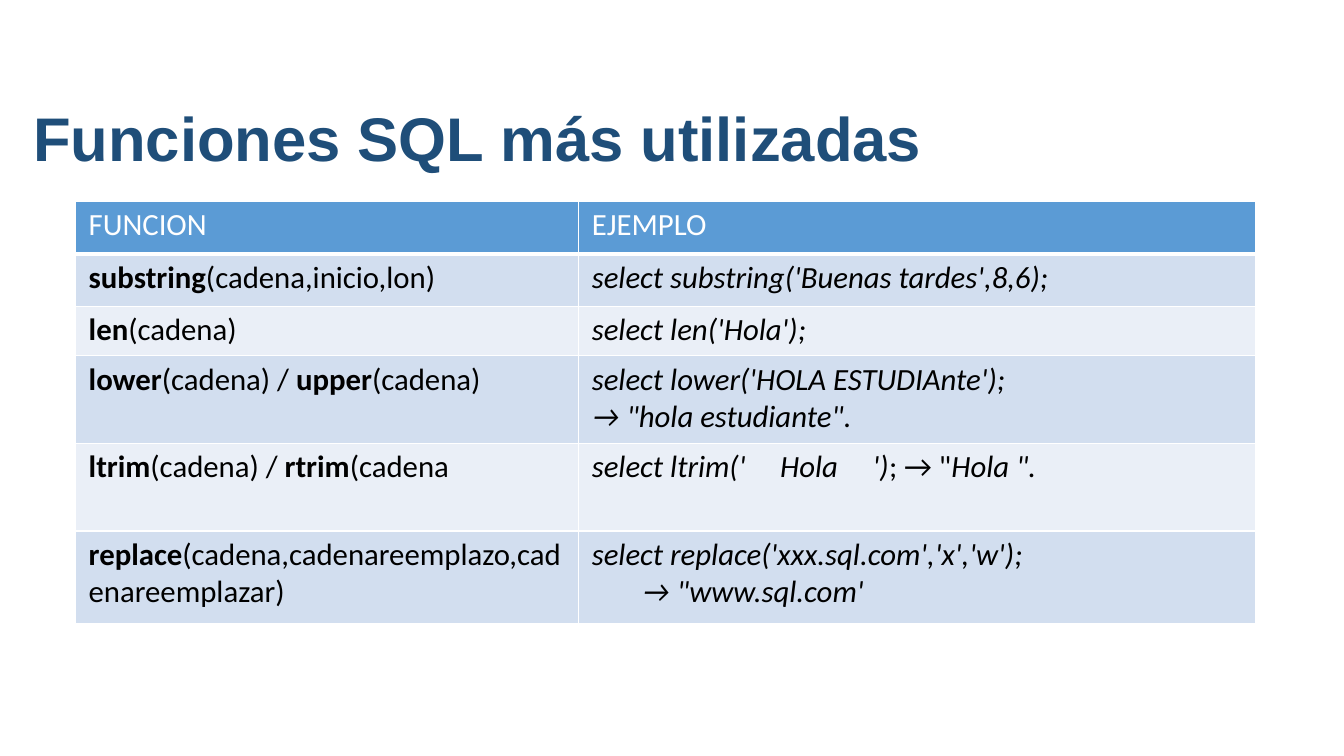
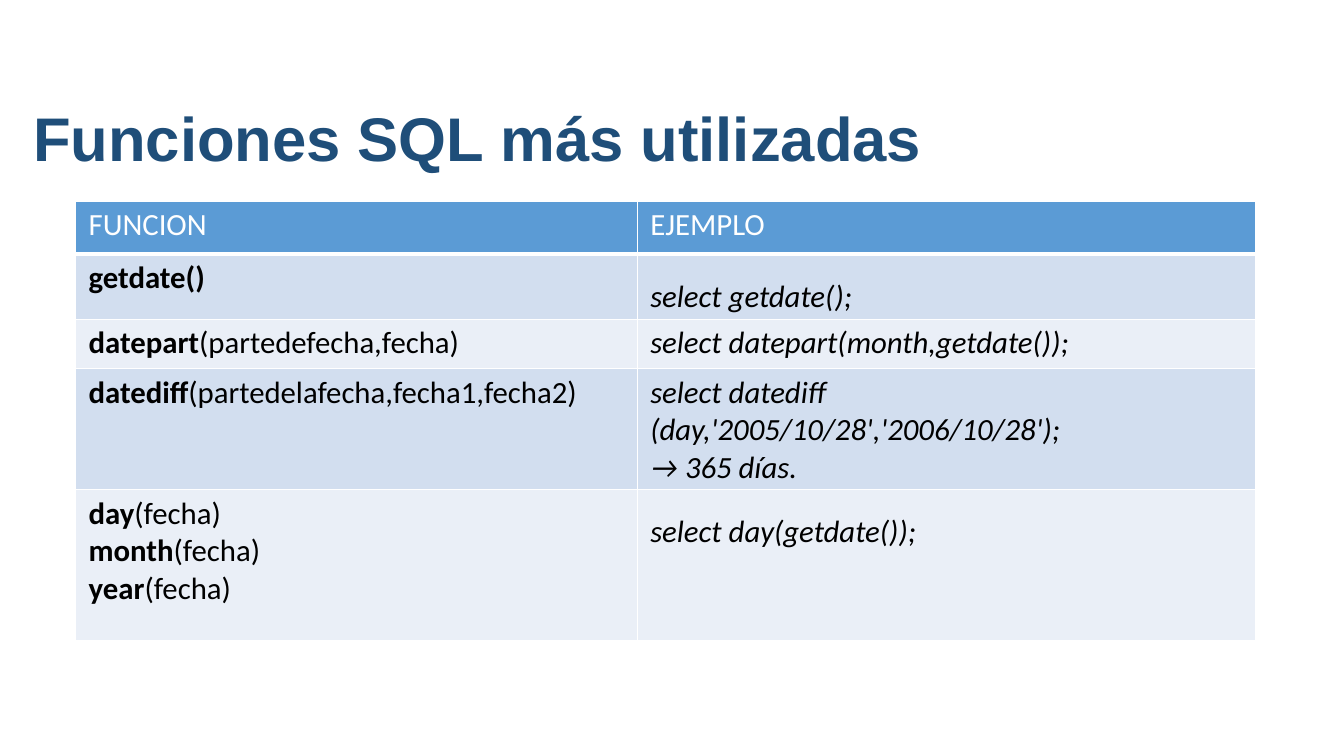
import pptx
import pptx.dml.color
import pptx.enum.text
import pptx.oxml
import pptx.oxml.ns
import pptx.util
from pptx.util import Inches

THEME = {
    "title": "1F4E79", "header": "5B9BD5", "bands": ("D2DEEF", "EAEFF7"),
    "light": "FFFFFF", "dark": "000000",
    "title_font": "Arial", "body_font": "Calibri",
    "title_size": 44, "body_size": 22, "rule": 1, "header_rule": 3,
}
TITLE = "Funciones SQL más utilizadas"
HEADER = ("FUNCION", "EJEMPLO", 1)

SLIDES = [
    {
        "cols": (4.99, 6.71),
        "heights": (0.52, 0.52, 0.49, 0.87, 0.87, 0.92),
        "rows": [
            ("*substring*(cadena,inicio,lon)", "*select substring('Buenas tardes',8,6);*", 1),
            ("*len*(cadena)", "*select len('Hola');*", 1),
            ("*lower*(cadena) / *upper*(cadena)",
             "*select lower('HOLA ESTUDIAnte');*\n*→ \"hola estudiante\".*", 1),
            ("*ltrim*(cadena) / *rtrim*(cadena",
             "*select ltrim('     Hola     ')*; → \"*Hola \".*", 1),
            ("*replace*(cadena,cadenareemplazo,cadenareemplazar)",
             "*select replace('xxx.sql.com','x','w');*\n*\t→ \"www.sql.com'*", 1),
        ],
    },
    {
        "cols": (5.57, 6.13),
        "heights": (0.52, 0.52, 0.49, 0.87, 1.5),
        "rows": [
            ("*getdate()*", "*select getdate();*", 1.5),
            ("*datepart*(partedefecha,fecha)", "*select datepart(month,getdate());*", 1),
            ("*datediff*(partedelafecha,fecha1,fecha2)",
             "*select datediff (day,'2005/10/28','2006/10/28');*\n*→ 365 días.*", 1),
            ("*day*(fecha)\n*month*(fecha)\n*year*(fecha)", "*select day(getdate());*", 1.5),
        ],
    },
]


def write_text(tf, text, font, size, color, bold=False, emphasis="bold", spacing=1):
    for i, line in enumerate(text.split("\n")):
        p = tf.paragraphs[0] if i == 0 else tf.add_paragraph()
        p.line_spacing = spacing
        for j, part in enumerate(line.split("*")):
            if not part:
                continue
            r = p.add_run()
            r.text = part
            r.font.name = font
            r.font.size = pptx.util.Pt(size)
            r.font.color.rgb = pptx.dml.color.RGBColor.from_string(color)
            r.font.bold = bold
            r.font.italic = False
            if j % 2:
                setattr(r.font, emphasis, True)


def style_cell(cell, fill, bottom):
    cell.margin_left = cell.margin_right = Inches(0.13)
    cell.margin_top = cell.margin_bottom = Inches(0.05)
    tcPr = cell._tc.get_or_add_tcPr()
    for side in "LRTB":
        width = pptx.util.Pt(bottom if side == "B" else THEME["rule"])
        tcPr.append(pptx.oxml.parse_xml(
            f'<a:ln{side} {pptx.oxml.ns.nsdecls("a")} w="{width}"><a:solidFill>'
            f'<a:srgbClr val="{THEME["light"]}"/></a:solidFill></a:ln{side}>'))
    cell.fill.solid()
    cell.fill.fore_color.rgb = pptx.dml.color.RGBColor.from_string(fill)


prs = pptx.Presentation()
prs.slide_width = Inches(13.33)
prs.slide_height = Inches(7.5)

for content in SLIDES:
    s = prs.slides.add_slide(prs.slide_layouts[6])

    sp = s.shapes.add_textbox(Inches(0.23), Inches(0.78), Inches(12.46), Inches(1.25))
    tf = sp.text_frame
    tf.word_wrap = True
    tf.vertical_anchor = pptx.enum.text.MSO_ANCHOR.MIDDLE
    write_text(tf, TITLE, THEME["title_font"], THEME["title_size"], THEME["title"],
               bold=True, spacing=0.9)

    rows = [HEADER] + content["rows"]
    table = s.shapes.add_table(
        len(rows), len(content["cols"]), Inches(0.75), Inches(2),
        Inches(sum(content["cols"])), Inches(sum(content["heights"]))).table
    for column, width in zip(table.columns, content["cols"]):
        column.width = Inches(width)

    for i, (function, example, spacing) in enumerate(rows):
        table.rows[i].height = Inches(content["heights"][i])
        is_header = i == 0
        fill = THEME["header"] if is_header else THEME["bands"][(i - 1) % 2]
        color = THEME["light"] if is_header else THEME["dark"]
        bottom = THEME["header_rule"] if is_header else THEME["rule"]
        formats = ((function, "bold", 1), (example, "italic", spacing))
        for j, (text, emphasis, line_spacing) in enumerate(formats):
            cell = table.cell(i, j)
            style_cell(cell, fill, bottom)
            write_text(cell.text_frame, text, THEME["body_font"], THEME["body_size"], color,
                       emphasis=emphasis, spacing=line_spacing)

prs.save("out.pptx")
